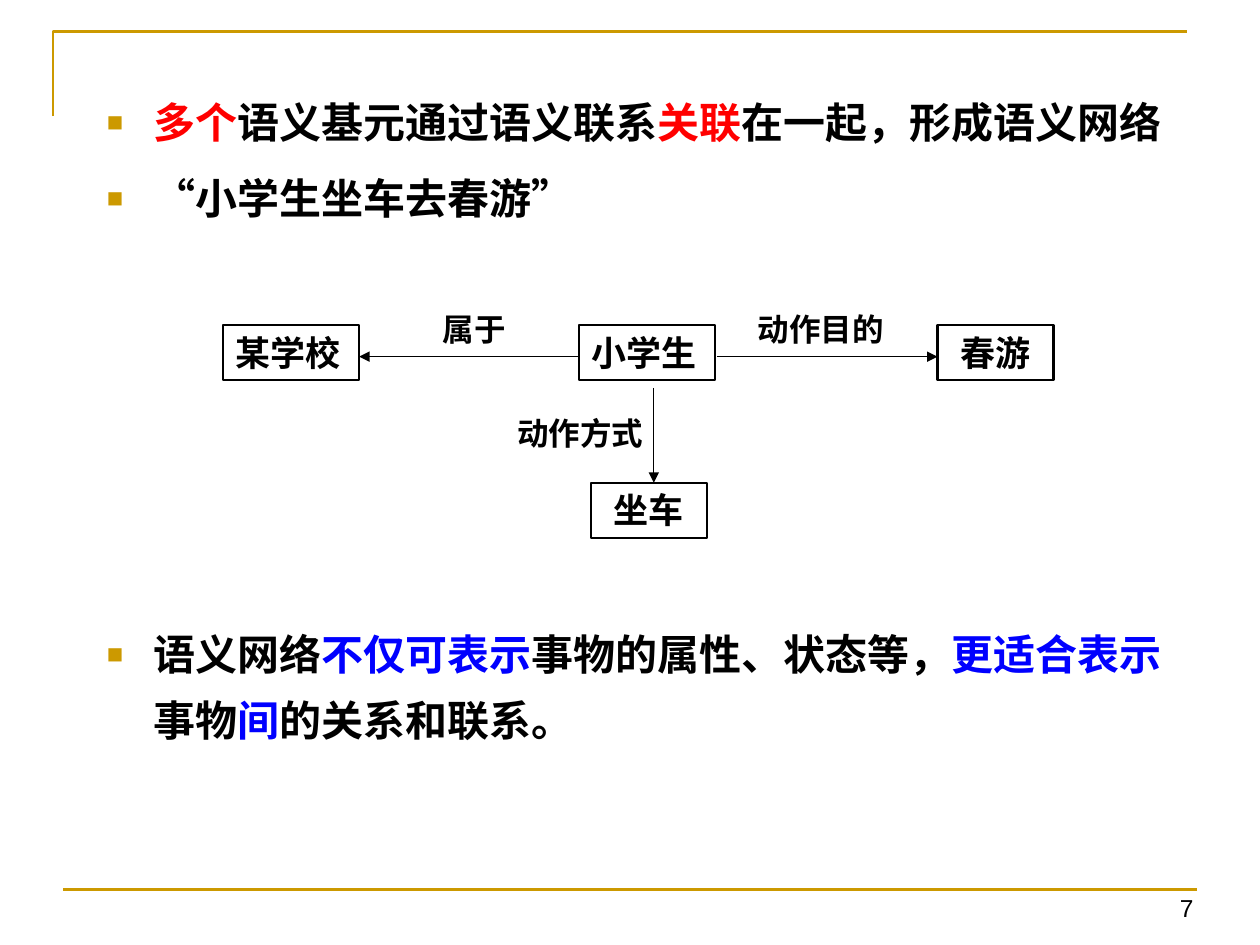
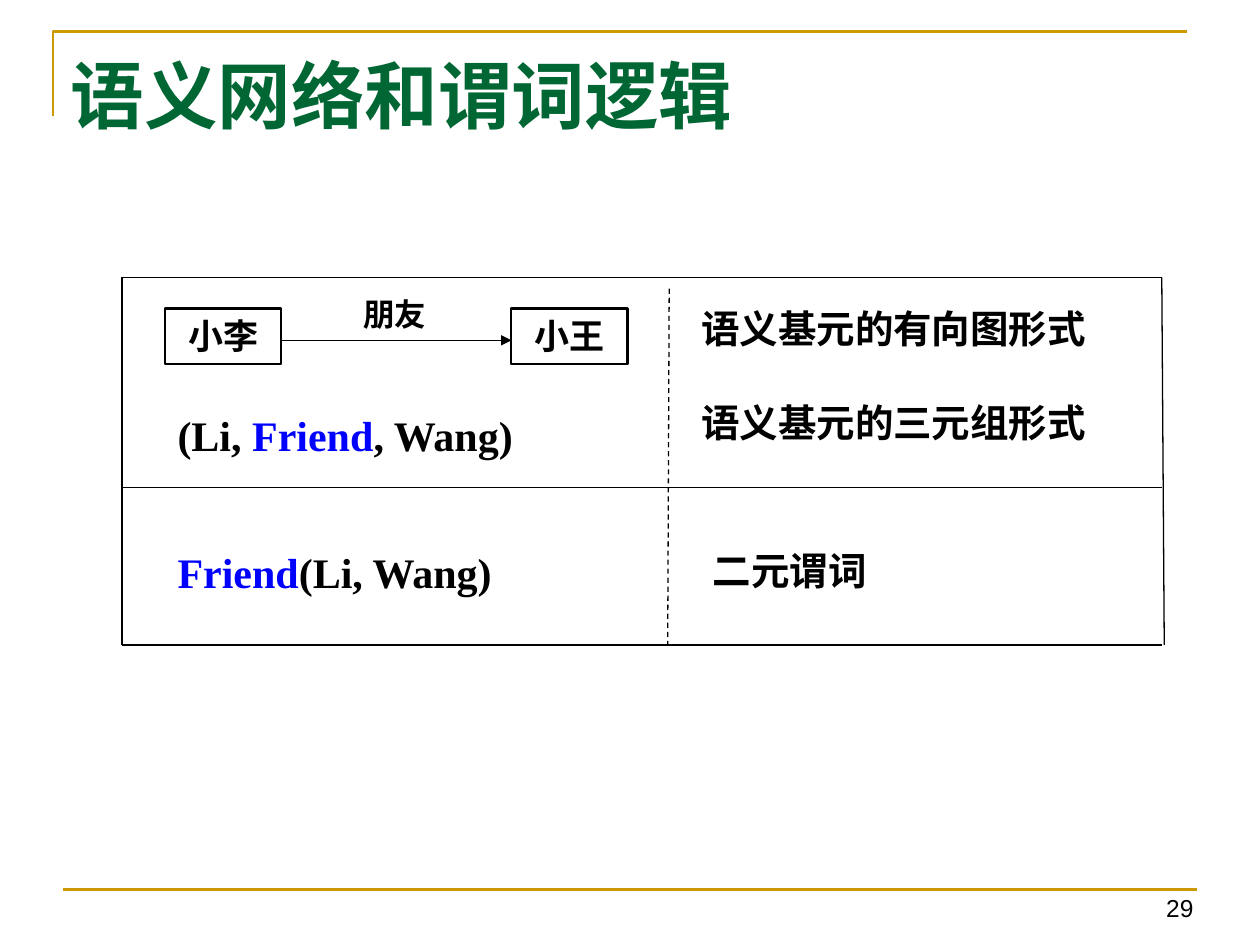
from lxml.etree import SubElement
from pptx import Presentation
from pptx.dml.color import RGBColor
from pptx.enum.dml import MSO_LINE
from pptx.enum.shapes import MSO_CONNECTOR, MSO_SHAPE
from pptx.enum.text import MSO_ANCHOR, PP_ALIGN
from pptx.oxml.ns import qn
from pptx.util import Cm, Pt

GOLD, GREEN, RED, BLUE, BLACK = "CC9900", "006633", "FF0000", "0000FF", "000000"
SANS, SERIF = "Arial", "Times New Roman"
NODE_H = 1.12


def rgb(value):
    return RGBColor.from_string(value)


class Deck:
    def __init__(self):
        self.prs = Presentation()
        self.prs.slide_width, self.prs.slide_height = Cm(25.4), Cm(19.05)
        self.s = None

    def new_slide(self, layout, number):
        self.s = self.prs.slides.add_slide(self.prs.slide_layouts[layout])
        self.frame()
        self.line(1.27, 17.93, 24.13, 17.93, GOLD, 1.5)
        self.text(21.72, 17.88, 2.59, 0.86, [(number, BLACK)], 14, PP_ALIGN.RIGHT, SANS, False)

    def frame(self):
        fb = self.s.shapes.build_freeform(Cm(1.07), Cm(2.34))
        fb.add_line_segments([(Cm(1.07), Cm(0.64)), (Cm(23.93), Cm(0.64))], close=False)
        sp = fb.convert_to_shape()
        sp.shadow.inherit = False
        sp.fill.background()
        self.stroke(sp, GOLD, 1.5)

    def stroke(self, sp, color, width):
        sp.line.color.rgb = rgb(color)
        sp.line.width = Pt(width)

    def place(self, sp, x, y, w, h):
        sp.left, sp.top, sp.width, sp.height = Cm(x), Cm(y), Cm(w), Cm(h)

    def runs(self, p, parts, size, font, bold=True):
        for text, color in parts:
            r = p.add_run()
            r.text = text
            r.font.name, r.font.size, r.font.bold = font, Pt(size), bold
            r.font.color.rgb = rgb(color)

    def text(self, x, y, w, h, parts, size, align=PP_ALIGN.LEFT, font=SERIF, bold=True):
        sp = self.s.shapes.add_textbox(Cm(x), Cm(y), Cm(w), Cm(h))
        tf = sp.text_frame
        tf.word_wrap = True
        tf.paragraphs[0].alignment = align
        self.runs(tf.paragraphs[0], parts, size, font, bold)

    def label(self, x, y, text):
        self.text(x, y, 3.38, 1.02, [(text, BLACK)], 18, PP_ALIGN.CENTER)

    def node(self, x, y, text, w=2.34, align=PP_ALIGN.CENTER):
        sp = self.s.shapes.add_shape(MSO_SHAPE.RECTANGLE, Cm(x), Cm(y), Cm(w), Cm(NODE_H))
        sp.shadow.inherit = False
        sp.fill.background()
        self.stroke(sp, BLACK, 1.25)
        tf = sp.text_frame
        tf.vertical_anchor = MSO_ANCHOR.TOP
        tf.paragraphs[0].alignment = align
        self.runs(tf.paragraphs[0], [(text, BLACK)], 20, SERIF)

    def line(self, x1, y1, x2, y2, color=BLACK, width=0.75, dashed=False):
        cx = self.s.shapes.add_connector(MSO_CONNECTOR.STRAIGHT, Cm(x1), Cm(y1), Cm(x2), Cm(y2))
        self.stroke(cx, color, width)
        if dashed:
            cx.line.dash_style = MSO_LINE.DASH
        SubElement(cx._element.spPr, qn("a:effectLst"))
        return cx

    def arrow(self, x1, y1, x2, y2):
        cx = self.line(x1, y1, x2, y2)
        SubElement(cx.line._get_or_add_ln(), qn("a:tailEnd"), type="triangle")

    def title(self, text):
        sp = self.s.shapes.title
        self.place(sp, 1.17, 0.91, 24.23, 1.96)
        tf = sp.text_frame
        tf.vertical_anchor = MSO_ANCHOR.MIDDLE
        tf.paragraphs[0].alignment = PP_ALIGN.LEFT
        self.runs(tf.paragraphs[0], [(text, GREEN)], 42, SERIF)

    def bullets(self, items):
        title = self.s.shapes.title._element
        title.getparent().remove(title)
        sp = self.s.placeholders[1]
        self.place(sp, 1.9, 1.52, 22.22, 16.2)
        tf = sp.text_frame
        for i, (before, parts) in enumerate(items):
            p = tf.add_paragraph() if i else tf.paragraphs[0]
            self.bullet(p)
            p.line_spacing, p.space_before = 1.3, Pt(before)
            self.runs(p, parts, 24, SANS)

    def bullet(self, p):
        pPr = p._p.get_or_add_pPr()
        pPr.set("marL", str(Cm(0.95)))
        pPr.set("indent", str(-Cm(0.95)))
        SubElement(SubElement(pPr, qn("a:buClr")), qn("a:srgbClr"), val=GOLD)
        SubElement(pPr, qn("a:buSzPct"), val="65000")
        SubElement(pPr, qn("a:buFont"), typeface=SANS)
        SubElement(pPr, qn("a:buChar"), char="■")


def network_slide(deck):
    deck.new_slide(1, "7")
    deck.bullets([
        (0, [("多个", RED), ("语义基元通过语义联系", BLACK), ("关联", RED),
             ("在一起，形成语义网络", BLACK)]),
        (6, [("“小学生坐车去春游”", BLACK)]),
        (223, [("语义网络", BLACK), ("不仅可表示", BLUE), ("事物的属性、状态等，", BLACK),
               ("更适合表示", BLUE), ("事物", BLACK), ("间", BLUE), ("的关系和联系。", BLACK)]),
    ])
    for x, text in ((4.5, "某学校"), (11.68, "小学生")):
        deck.node(x, 6.55, text, 2.74, PP_ALIGN.LEFT)
    deck.node(18.9, 6.55, "春游")
    deck.node(11.91, 9.73, "坐车")
    deck.arrow(11.68, 7.19, 7.24, 7.19)
    deck.arrow(14.45, 7.19, 18.9, 7.19)
    deck.arrow(13.18, 7.82, 13.18, 9.73)
    deck.label(7.87, 6.12, "属于")
    deck.label(14.86, 6.12, "动作目的")
    deck.label(10.01, 8.23, "动作方式")


def logic_slide(deck):
    deck.new_slide(5, "29")
    deck.title("语义网络和谓词逻辑")
    left, right, top, bottom = 2.46, 23.42, 5.59, 13
    for y in (top, 9.83, bottom):
        deck.line(left, y, right, y)
    deck.line(left, top, left, bottom)
    deck.line(right, top, right + 0.05, bottom)
    deck.line(13.49, 5.82, 13.46, bottom, dashed=True)
    deck.node(3.33, 6.22, "小李")
    deck.node(10.31, 6.22, "小王")
    deck.arrow(5.64, 6.86, 10.31, 6.86)
    deck.label(6.27, 5.82, "朋友")
    deck.text(3.33, 8.13, 8.05, 1.27,
              [("(Li, ", BLACK), ("Friend", BLUE), (", Wang)", BLACK)], 24)
    deck.text(3.33, 10.9, 8.05, 1.27, [("Friend", BLUE), ("(Li, Wang)", BLACK)], 24)
    for x, y, w, text in ((13.89, 6.02, 8.89, "语义基元的有向图形式"),
                          (13.89, 7.92, 9.96, "语义基元的三元组形式"),
                          (14.12, 10.9, 4.88, "二元谓词")):
        deck.text(x, y, w, 1.19, [(text, BLACK)], 22)


def main():
    deck = Deck()
    network_slide(deck)
    logic_slide(deck)
    deck.prs.save("out.pptx")


if __name__ == "__main__":
    main()
